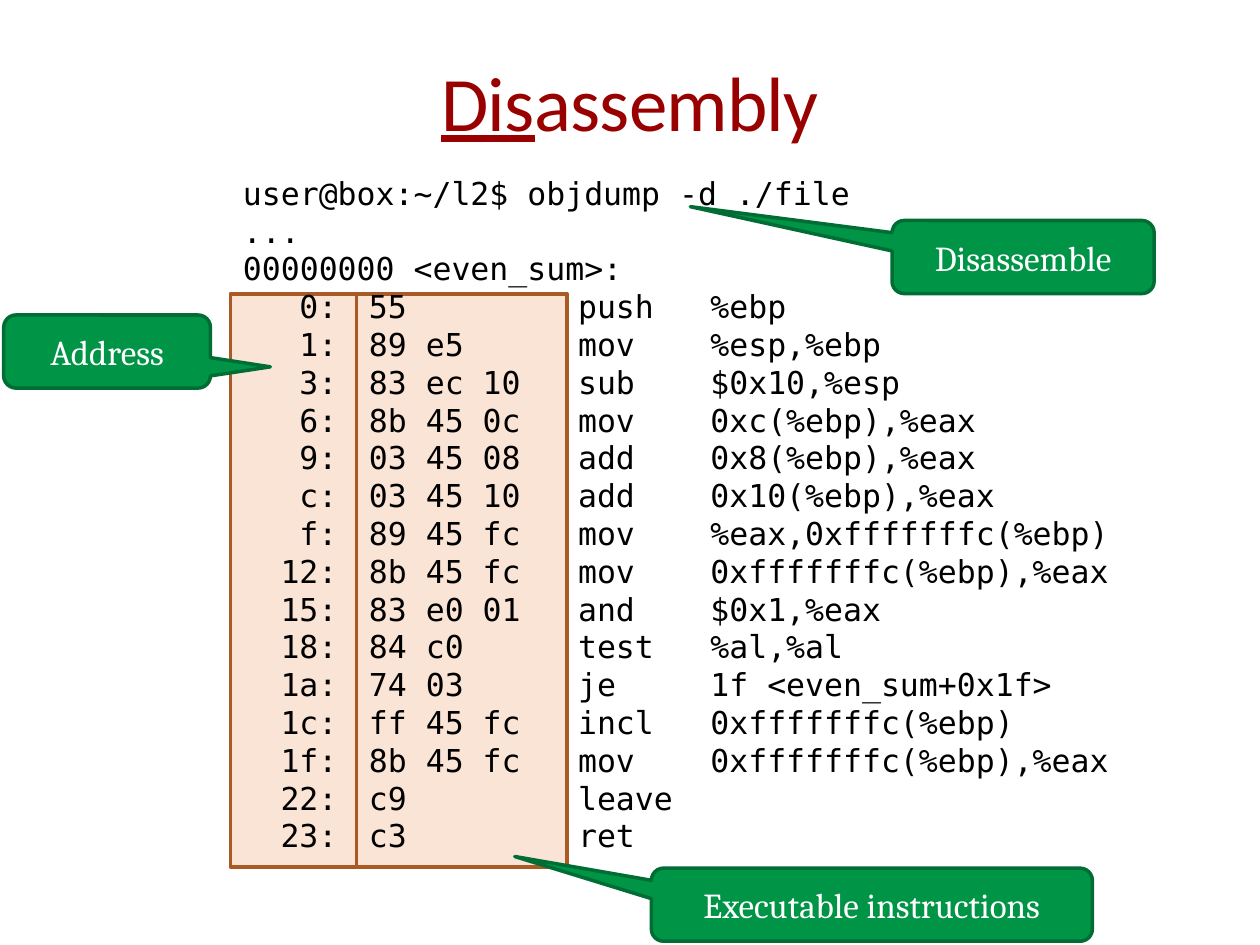
from dataclasses import dataclass
from typing import NamedTuple

from lxml.etree import SubElement
from pptx import Presentation
from pptx.dml.color import RGBColor
from pptx.enum.shapes import MSO_SHAPE
from pptx.enum.text import MSO_ANCHOR, MSO_AUTO_SIZE, PP_ALIGN
from pptx.oxml.ns import qn
from pptx.shapes.autoshape import Shape
from pptx.slide import Slide
from pptx.text.text import Font
from pptx.util import Inches, Pt


@dataclass(frozen=True)
class Theme:
    title_font: str = "Calibri"
    code_font: str = "DejaVu Sans Mono"
    callout_font: str = "Cambria"
    title_size: int = 44
    code_size: int = 18
    callout_size: int = 20
    title_color: str = "990000"
    code_color: str = "000000"
    callout_text: str = "FFFFFF"
    callout_fill: str = "009446"
    callout_line: str = "006D34"
    callout_line_width: float = 2
    column_fill: str = "FAE4D6"
    column_line: str = "A95A25"
    column_line_width: float = 2.25


THEME = Theme()


class Box(NamedTuple):
    left: float
    top: float
    width: float
    height: float

    def lengths(self) -> list[int]:
        return [Inches(value) for value in self]


class Callout(NamedTuple):
    label: str
    box: Box
    pointer: tuple[float, float]


class Instruction(NamedTuple):
    address: str
    code_bytes: str
    mnemonic: str
    operands: str = ""


class TabStop(NamedTuple):
    position: float
    alignment: str


CODE_BOX = Box(1.83, 1.33, 7.67, 5.55)
COLUMN_TOP, COLUMN_HEIGHT = 2.33, 4.55
ADDRESS_WIDTH, BYTES_WIDTH = 1.0, 1.67
CALLOUT_HEIGHT = 0.58

HIGHLIGHTS = [
    Box(CODE_BOX.left, COLUMN_TOP, ADDRESS_WIDTH, COLUMN_HEIGHT),
    Box(CODE_BOX.left + ADDRESS_WIDTH, COLUMN_TOP, BYTES_WIDTH, COLUMN_HEIGHT),
]

# Address, bytes, mnemonic and operands
TAB_STOPS = [TabStop(0.75, "r"), TabStop(1, "l"), TabStop(2.66, "l"), TabStop(3.71, "l")]

HEADER_LINES = ["user@box:~/l2$ objdump -d ./file", "...", "00000000 <even_sum>:"]

INSTRUCTIONS = [
    Instruction("0:", "55", "push", "%ebp"),
    Instruction("1:", "89 e5", "mov", "%esp,%ebp"),
    Instruction("3:", "83 ec 10", "sub", "$0x10,%esp"),
    Instruction("6:", "8b 45 0c", "mov", "0xc(%ebp),%eax"),
    Instruction("9:", "03 45 08", "add", "0x8(%ebp),%eax"),
    Instruction("c:", "03 45 10", "add", "0x10(%ebp),%eax"),
    Instruction("f:", "89 45 fc", "mov", "%eax,0xfffffffc(%ebp)"),
    Instruction("12:", "8b 45 fc", "mov", "0xfffffffc(%ebp),%eax"),
    Instruction("15:", "83 e0 01", "and", "$0x1,%eax"),
    Instruction("18:", "84 c0", "test", "%al,%al"),
    Instruction("1a:", "74 03", "je", "1f <even_sum+0x1f>"),
    Instruction("1c:", "ff 45 fc", "incl", "0xfffffffc(%ebp)"),
    Instruction("1f:", "8b 45 fc", "mov", "0xfffffffc(%ebp),%eax"),
    Instruction("22:", "c9", "leave"),
    Instruction("23:", "c3", "ret"),
]

CALLOUTS = [
    Callout("Address", Box(0.03, 2.5, 1.64, CALLOUT_HEIGHT), (0.79, 0.21)),
    Callout("Executable instructions", Box(5.17, 6.89, 3.5, CALLOUT_HEIGHT), (-0.81, -0.66)),
    Callout("Disassemble", Box(7.08, 1.75, 2.08, CALLOUT_HEIGHT), (-1.27, -0.69)),
]


def style_font(font: Font, name: str, size: float, color: str) -> None:
    font.name = name
    font.size = Pt(size)
    font.color.rgb = RGBColor.from_string(color)


def style_shape(shape: Shape, fill: str, line: str, width: float) -> None:
    shape.shadow.inherit = False
    shape.fill.solid()
    shape.fill.fore_color.rgb = RGBColor.from_string(fill)
    shape.line.color.rgb = RGBColor.from_string(line)
    shape.line.width = Pt(width)


def add_highlight(slide: Slide, box: Box) -> None:
    column = slide.shapes.add_shape(MSO_SHAPE.RECTANGLE, *box.lengths())
    style_shape(column, THEME.column_fill, THEME.column_line, THEME.column_line_width)


def add_title(slide: Slide) -> None:
    frame = slide.shapes.add_textbox(*Box(0.5, 0.17, 9, 1.25).lengths()).text_frame
    frame.word_wrap = True
    frame.vertical_anchor = MSO_ANCHOR.MIDDLE
    frame.margin_left = frame.margin_right = 0
    heading = frame.paragraphs[0]
    heading.alignment = PP_ALIGN.CENTER
    style_font(heading.font, THEME.title_font, THEME.title_size, THEME.title_color)
    for text, underlined in (("Dis", True), ("assembly", False)):
        part = heading.add_run()
        part.text = text
        part.font.underline = underlined
        part._r.get_or_add_rPr().set("spc", "-50")


def add_listing(slide: Slide) -> None:
    """Set the disassembly in columns held by tab stops."""
    frame = slide.shapes.add_textbox(*CODE_BOX.lengths()).text_frame
    frame.word_wrap = True
    frame.auto_size = MSO_AUTO_SIZE.SHAPE_TO_FIT_TEXT
    rows = ["\t" + "\t".join(filter(None, instruction)) for instruction in INSTRUCTIONS]
    for index, text in enumerate(HEADER_LINES + rows):
        line = frame.add_paragraph() if index else frame.paragraphs[0]
        line.text = text
        if index >= len(HEADER_LINES):
            tabs = SubElement(line._p.get_or_add_pPr(), qn("a:tabLst"))
            for stop in TAB_STOPS:
                SubElement(tabs, qn("a:tab"), pos=str(Inches(stop.position)), algn=stop.alignment)
        style_font(line.font, THEME.code_font, THEME.code_size, THEME.code_color)


def add_callout(slide: Slide, callout: Callout) -> None:
    bubble = slide.shapes.add_shape(MSO_SHAPE.ROUNDED_RECTANGULAR_CALLOUT, *callout.box.lengths())
    bubble.adjustments[0], bubble.adjustments[1] = callout.pointer
    style_shape(bubble, THEME.callout_fill, THEME.callout_line, THEME.callout_line_width)
    bubble.text_frame.vertical_anchor = MSO_ANCHOR.MIDDLE
    label = bubble.text_frame.paragraphs[0]
    label.text = callout.label
    label.alignment = PP_ALIGN.CENTER
    style_font(label.font, THEME.callout_font, THEME.callout_size, THEME.callout_text)


def main() -> None:
    presentation = Presentation()
    presentation.slide_width, presentation.slide_height = Inches(10), Inches(7.5)
    slide = presentation.slides.add_slide(presentation.slide_layouts[6])
    for box in HIGHLIGHTS:
        add_highlight(slide, box)
    add_title(slide)
    add_listing(slide)
    for callout in CALLOUTS:
        add_callout(slide, callout)
    presentation.save("out.pptx")


if __name__ == "__main__":
    main()
